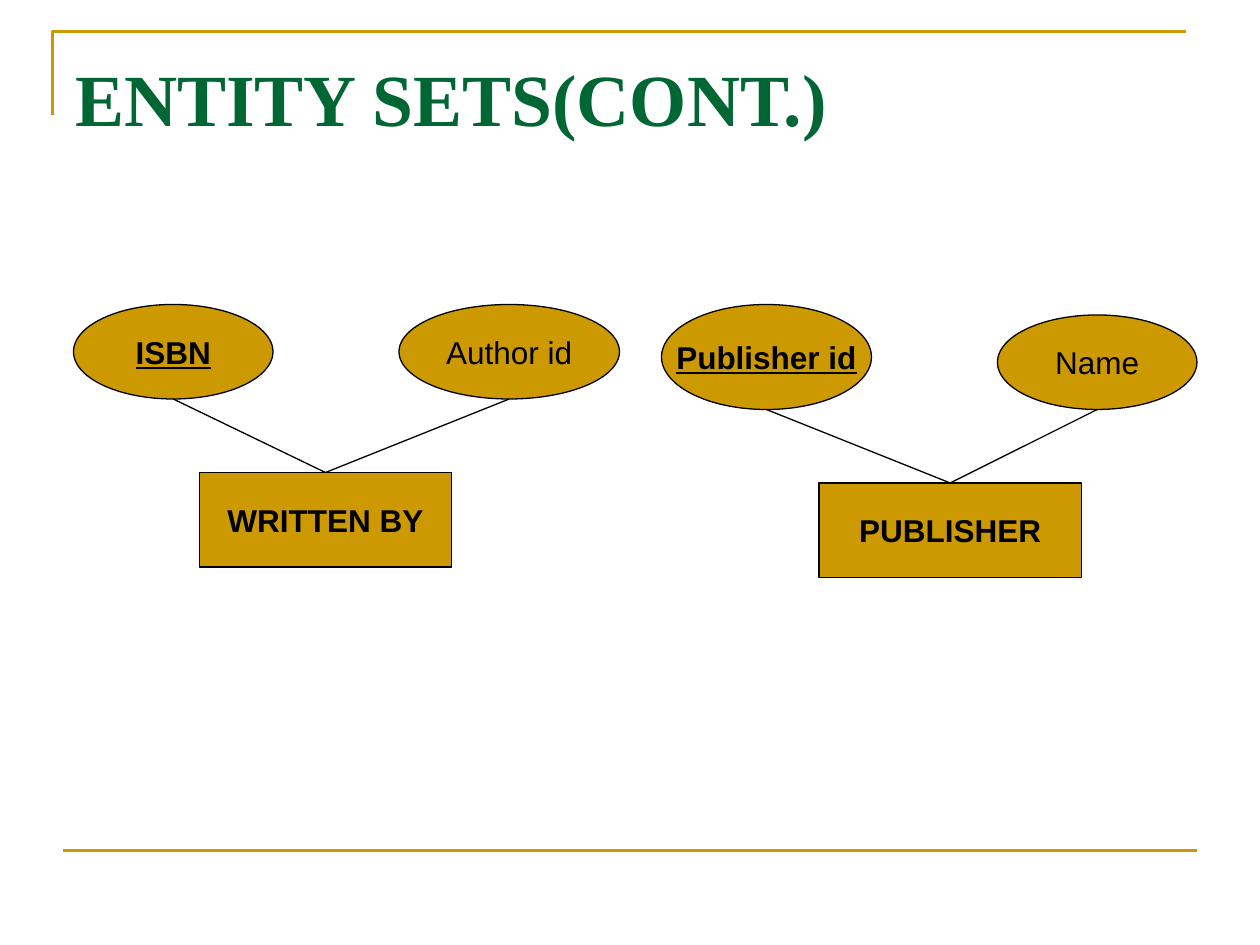
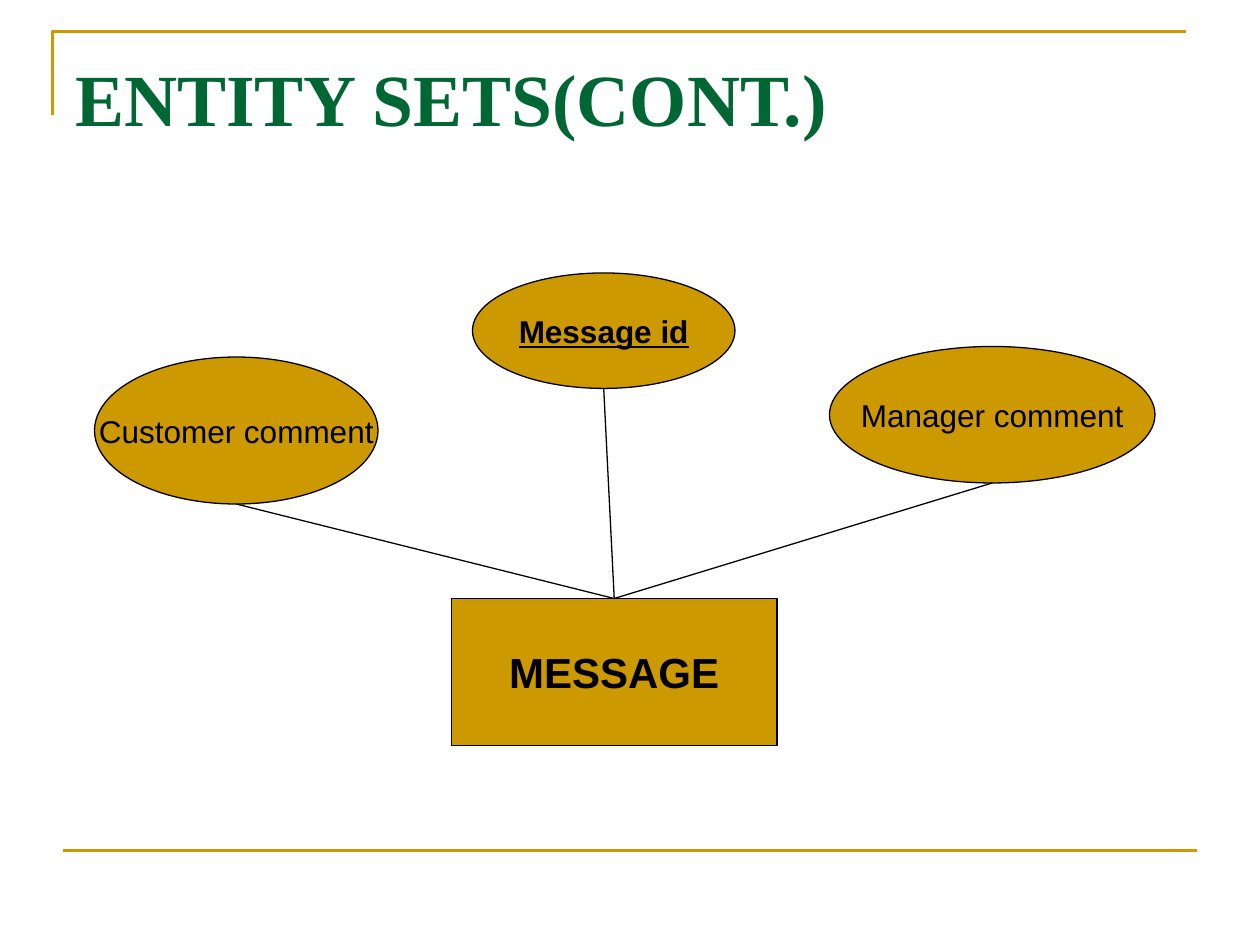
from pptx import Presentation
from pptx.dml.color import RGBColor
from pptx.enum.shapes import MSO_CONNECTOR, MSO_SHAPE
from pptx.enum.text import MSO_ANCHOR, PP_ALIGN
from pptx.oxml.ns import qn
from pptx.util import Inches, Pt
from lxml.etree import SubElement

# Boxes are (left, top, width, height) in grid units of a twelfth of an inch.
TITLE = "ENTITY SETS(CONT.)"
KEY = {"bold": True, "underline": True}
PLAIN = {}
SLIDES = [
    [
        {"entity": ("WRITTEN BY", 18, (19, 45, 24, 9)),
         "attributes": [("ISBN", KEY, (7, 29, 19, 9)),
                        ("Author id", PLAIN, (38, 29, 21, 9))]},
        {"entity": ("PUBLISHER", 18, (78, 46, 25, 9)),
         "attributes": [("Publisher id", KEY, (63, 29, 20, 10)),
                        ("Name", PLAIN, (95, 30, 19, 9))]},
    ],
    [
        {"entity": ("MESSAGE", 24, (43, 57, 31, 14)),
         "attributes": [("Customer comment", PLAIN, (9, 34, 27, 14)),
                        ("Manager comment", PLAIN, (79, 33, 31, 13)),
                        ("Message id", KEY, (45, 26, 25, 11))]},
    ],
]

UNIT = Inches(1) // 12
COLUMNS, ROWS = 120, 90
TITLE_BOX = (6, 3.6, 108, 15)
CORNER = [(5, 11), (5, 3), (113, 3)]
FOOTER = [(6, 81), (114, 81)]

GOLD = RGBColor(0xCC, 0x99, 0x00)
GREEN = RGBColor(0x00, 0x66, 0x33)
BLACK = RGBColor(0x00, 0x00, 0x00)

TITLE_FONT = {"name": "Times New Roman", "size": Pt(42), "bold": True}
LABEL_FONT = {"name": "Arial", "size": Pt(18), "bold": False}


def grid(values):
    return [round(value * UNIT) for value in values]


def write(frame, text, color, font_format):
    run = frame.paragraphs[0].add_run()
    run.text = text
    run.font.color.rgb = color
    for name, value in font_format.items():
        setattr(run.font, name, value)


def set_line(line, color, width):
    line.color.rgb = color
    line.width = Pt(width)


def add_line(slide, start, end, color, width):
    connector = slide.shapes.add_connector(
        MSO_CONNECTOR.STRAIGHT, *grid(start), *grid(end))
    set_line(connector.line, color, width)
    SubElement(connector._element.spPr, qn("a:effectLst"))


def add_node(slide, kind, text, box, font_format):
    shape = slide.shapes.add_shape(kind, *grid(box))
    shape.shadow.inherit = False
    shape.fill.solid()
    shape.fill.fore_color.rgb = GOLD
    set_line(shape.line, BLACK, 0.75)
    frame = shape.text_frame
    frame.word_wrap = False
    frame.vertical_anchor = MSO_ANCHOR.MIDDLE
    frame.paragraphs[0].alignment = PP_ALIGN.CENTER
    write(frame, text, BLACK, LABEL_FONT | font_format)


def add_base(slide):
    """Draw the corner rule, the footer rule and the title."""
    builder = slide.shapes.build_freeform(*CORNER[0], scale=UNIT)
    builder.add_line_segments(CORNER[1:], close=False)
    corner = builder.convert_to_shape()
    corner.shadow.inherit = False
    corner.fill.background()
    set_line(corner.line, GOLD, 1.5)
    add_line(slide, *FOOTER, GOLD, 1.5)

    frame = slide.shapes.add_textbox(*grid(TITLE_BOX)).text_frame
    frame.word_wrap = True
    frame.margin_top = Inches(0.12)
    write(frame, TITLE, GREEN, TITLE_FONT)


def add_diagram(slide, diagram):
    """Draw an entity and join its top to the foot of each attribute."""
    name, size, entity_box = diagram["entity"]
    add_node(slide, MSO_SHAPE.RECTANGLE, name, entity_box,
             {"size": Pt(size), "bold": True})
    left, top, width, _ = entity_box
    entity_top = (left + width / 2, top)
    for text, style, box in diagram["attributes"]:
        add_node(slide, MSO_SHAPE.OVAL, text, box, style)
        left, top, width, height = box
        add_line(slide, (left + width / 2, top + height), entity_top, BLACK, 0.75)


def main():
    presentation = Presentation()
    presentation.slide_width, presentation.slide_height = grid((COLUMNS, ROWS))
    for diagrams in SLIDES:
        slide = presentation.slides.add_slide(presentation.slide_layouts[6])
        add_base(slide)
        for diagram in diagrams:
            add_diagram(slide, diagram)
    presentation.save("out.pptx")


if __name__ == "__main__":
    main()
